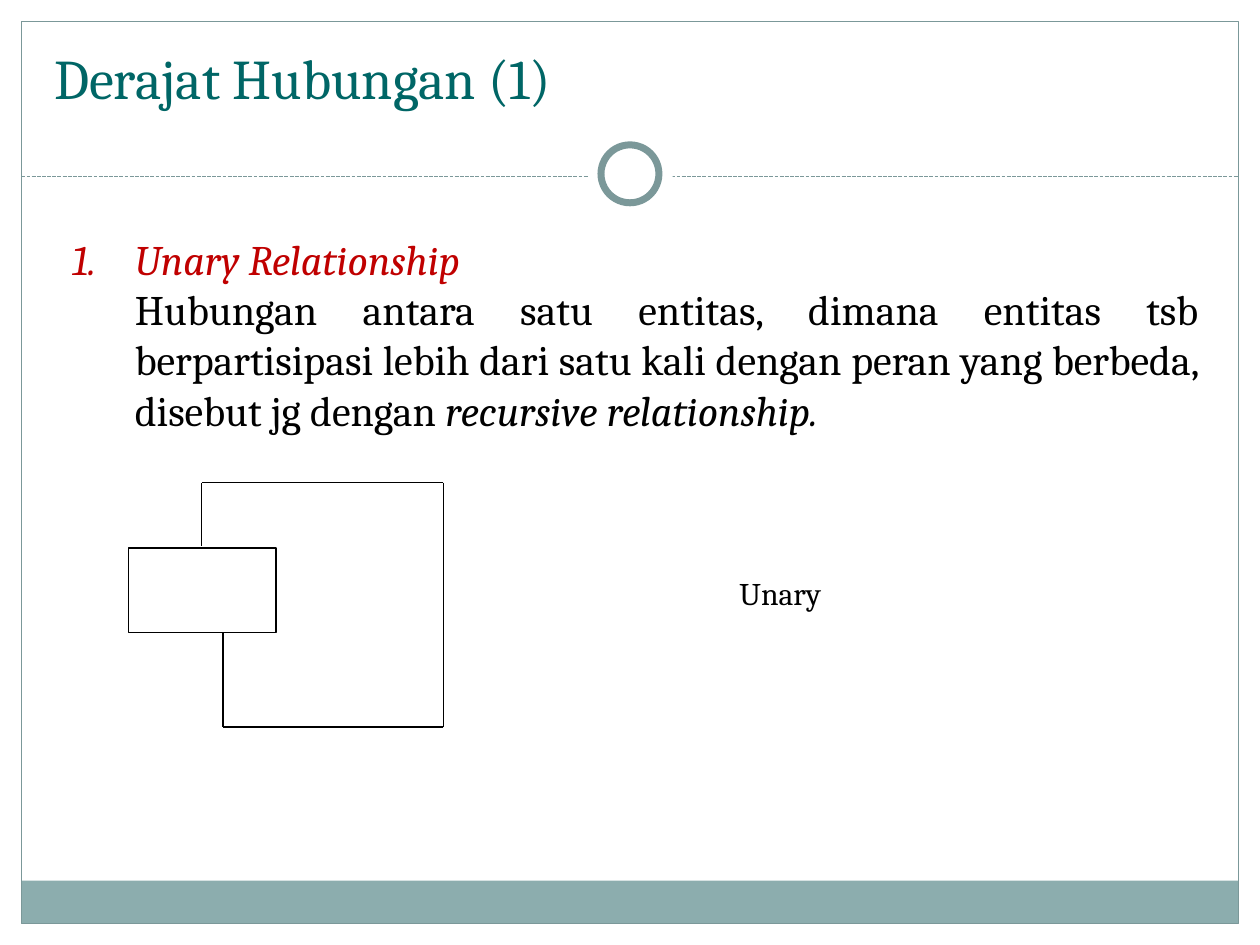
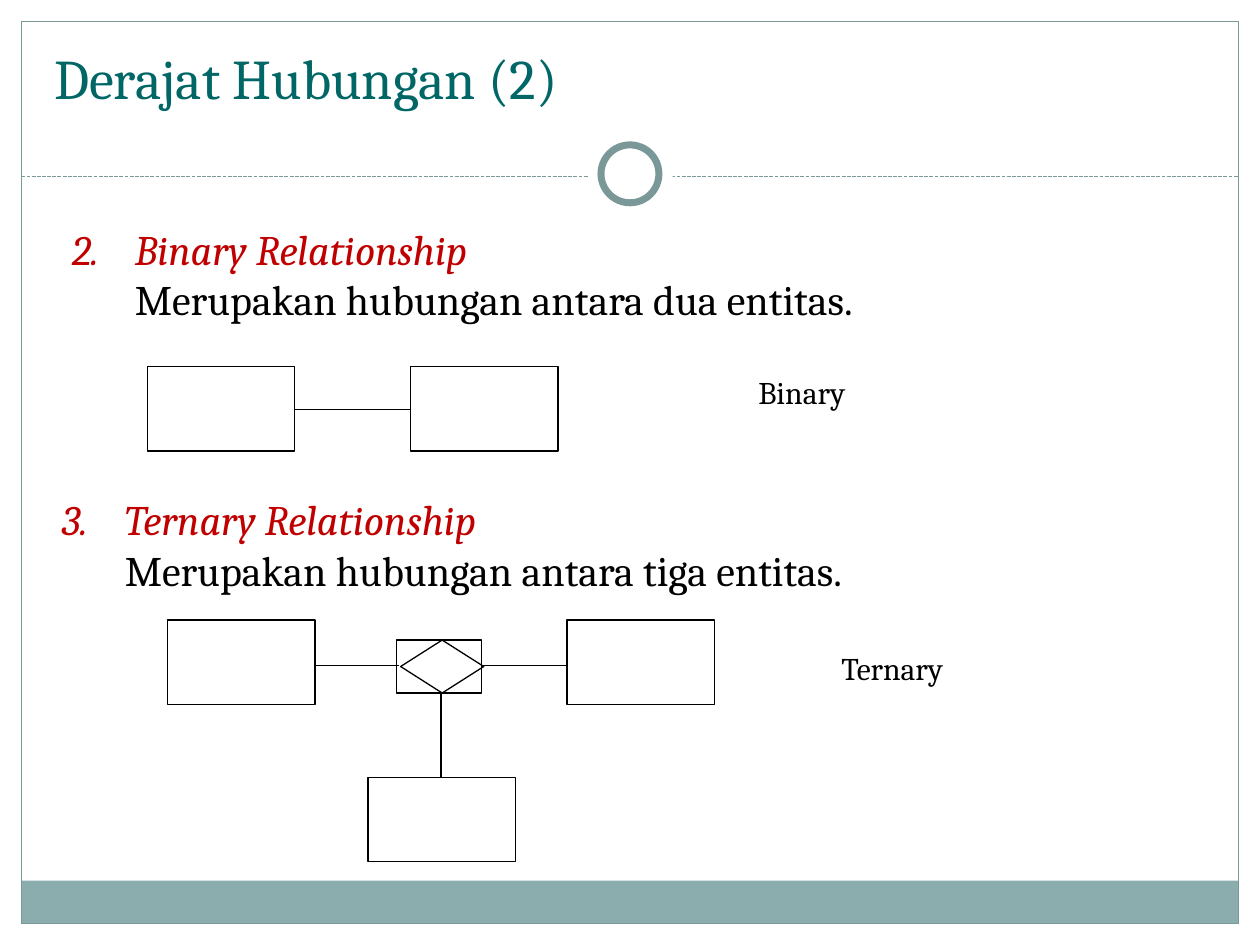
from dataclasses import dataclass

from lxml import etree
from pptx import Presentation
from pptx import util as u
from pptx.dml import color
from pptx.enum import dml, shapes, text
from pptx.oxml import ns

SCALE = 9144
KIND = shapes.MSO_SHAPE


@dataclass(frozen=True)
class Theme:
    font: str = "Cambria"
    title: str = "006666"
    head: str = "C00000"
    ink: str = "000000"
    edge: str = "7B9899"
    band: str = "8CADAE"
    paper: str = "FFFFFF"
    big: int = 32
    mid: int = 24
    small: int = 18
    thin: float = 0.75
    ring: float = 4


THEME = Theme()


def px(*nums):
    return [u.Emu(num * SCALE) for num in nums]


def rgb(code):
    return color.RGBColor.from_string(code)


def sub(node, tag, **attrs):
    return etree.SubElement(node, ns.qn(tag), **attrs)


def shape(host, kind, box, fill=None, line=None, width=THEME.thin):
    item = host.shapes.add_shape(kind, *px(*box))
    item.shadow.inherit = False
    if fill:
        item.fill.solid()
        item.fill.fore_color.rgb = rgb(fill)
    else:
        item.fill.background()
    if line:
        item.line.color.rgb = rgb(line)
        item.line.width = u.Pt(width)
    else:
        item.line.fill.background()
    return item


def wire(host, start, end, tone=THEME.ink):
    item = host.shapes.add_connector(
        shapes.MSO_CONNECTOR.STRAIGHT, *px(*start, *end))
    item.line.color.rgb = rgb(tone)
    item.line.width = u.Pt(THEME.thin)
    sub(item.element.spPr, "a:effectLst")
    return item


def write(para, words, size, tone, slant=False):
    run = para.add_run()
    run.text = words
    font = run.font
    font.name, font.size, font.italic = THEME.font, u.Pt(size), slant
    font.color.rgb = rgb(tone)


def place(item, box):
    item.left, item.top, item.width, item.height = px(*box)
    frame = item.text_frame
    frame.word_wrap = True
    frame.auto_size = text.MSO_AUTO_SIZE.NONE
    return frame


def decor(deck, slide):
    left, top, wide, high = 17, 17, 966, 716
    mid = left + wide // 2
    rule = wire(slide, (left, 140), (left + wide, 140), THEME.edge)
    rule.line.dash_style = dml.MSO_LINE.SQUARE_DOT
    parts = [
        shape(slide, KIND.RECTANGLE, (left, 699, wide, 34), THEME.band),
        shape(slide, KIND.RECTANGLE, (left, top, wide, high), line=THEME.edge),
        rule,
        shape(slide, KIND.OVAL, (mid - 33, 105, 67, 67), THEME.paper),
        shape(slide, KIND.OVAL, (mid - 23, 115, 46, 46), THEME.paper,
              THEME.edge, THEME.ring),
    ]
    for part in parts:
        deck.slide_master.shapes.element.append(part.element)


def title(slide, words):
    frame = place(slide.shapes.title, (33, 20, 933, 83))
    frame.vertical_anchor = text.MSO_ANCHOR.MIDDLE
    para = frame.paragraphs[0]
    para.alignment = text.PP_ALIGN.LEFT
    write(para, words, THEME.big, THEME.title)


def indent(para, hang):
    step = px(50)[0]
    props = para._p.get_or_add_pPr()
    props.set("marL", str(step))
    props.set("indent", str(-step if hang else 0))
    return props


def topic(item, box, count, head, runs):
    frame = place(item, box)
    first, body = frame.paragraphs[0], frame.add_paragraph()
    props = indent(first, True)
    sub(sub(props, "a:buClr"), "a:srgbClr", val=THEME.head)
    sub(props, "a:buFont", typeface=THEME.font)
    sub(props, "a:buAutoNum", type="arabicPeriod", startAt=str(count))
    sub(indent(body, False), "a:buNone")
    for para in (first, body):
        para.alignment = text.PP_ALIGN.JUSTIFY
        para.space_before = u.Pt(0)
    write(first, head, THEME.mid, THEME.head, True)
    for words, slant in runs:
        write(body, words, THEME.mid, THEME.ink, slant)


def label(host, x, y, words):
    box = (x, y, 267, 40)
    frame = place(host.shapes.add_textbox(*px(*box)), box)
    write(frame.paragraphs[0], words, THEME.small, THEME.ink)


def entity(host, x, y):
    shape(host, KIND.RECTANGLE, (x, y, 117, 67), line=THEME.ink)


def unary(slide, x, y):
    group = slide.shapes.add_group_shape()
    entity(group, x, y + 52)
    loop = [(58, 50), (58, 0), (250, 0), (250, 194), (75, 194), (75, 119)]
    spots = [(x + dx, y + dy) for dx, dy in loop]
    for start, end in zip(spots, spots[1:]):
        wire(group, start, end)
    label(group, x + 475, y + 68, "Unary")


def binary(slide, x, y):
    group = slide.shapes.add_group_shape()
    for dx in (0, 209):
        entity(group, x + dx, y)
    wire(group, (x + 117, y + 34), (x + 209, y + 34))
    label(group, x + 475, y, "Binary")


def ternary(slide, x, y):
    group = slide.shapes.add_group_shape()
    shape(group, KIND.FLOWCHART_DECISION, (x + 185, y + 16, 66, 42),
          line=THEME.ink)
    shape(group, KIND.RECTANGLE, (x + 182, y + 16, 67, 42), line=THEME.ink)
    for dx, dy in ((0, 0), (317, 0), (159, 125)):
        entity(group, x + dx, y + dy)
    wire(group, (x + 217, y + 58), (x + 217, y + 125))
    for dx in (117, 250):
        wire(group, (x + dx, y + 36), (x + dx + 67, y + 36))
    label(group, x + 525, y + 18, "Ternary")


def first(deck):
    slide = deck.slides.add_slide(deck.slide_layouts[1])
    decor(deck, slide)
    title(slide, "Derajat Hubungan (1)")
    topic(slide.placeholders[1], (47, 180, 914, 170), 1, "Unary Relationship", [
        ("Hubungan antara satu entitas, dimana entitas tsb berpartisipasi "
         "lebih dari satu kali dengan peran yang berbeda, disebut jg dengan ",
         False),
        ("recursive relationship.", True),
    ])
    unary(slide, 102, 383)


def second(deck):
    slide = deck.slides.add_slide(deck.slide_layouts[3])
    title(slide, "Derajat Hubungan (2)")
    topic(slide.placeholders[1], (47, 172, 914, 90), 2, "Binary Relationship",
          [("Merupakan hubungan antara dua entitas.", False)])
    binary(slide, 117, 291)
    topic(slide.placeholders[2], (39, 387, 914, 90), 3, "Ternary Relationship",
          [("Merupakan hubungan antara tiga entitas.", False)])
    ternary(slide, 133, 492)


def main():
    deck = Presentation()
    deck.slide_width, deck.slide_height = px(1000, 750)
    first(deck)
    second(deck)
    deck.save("out.pptx")


if __name__ == "__main__":
    main()
